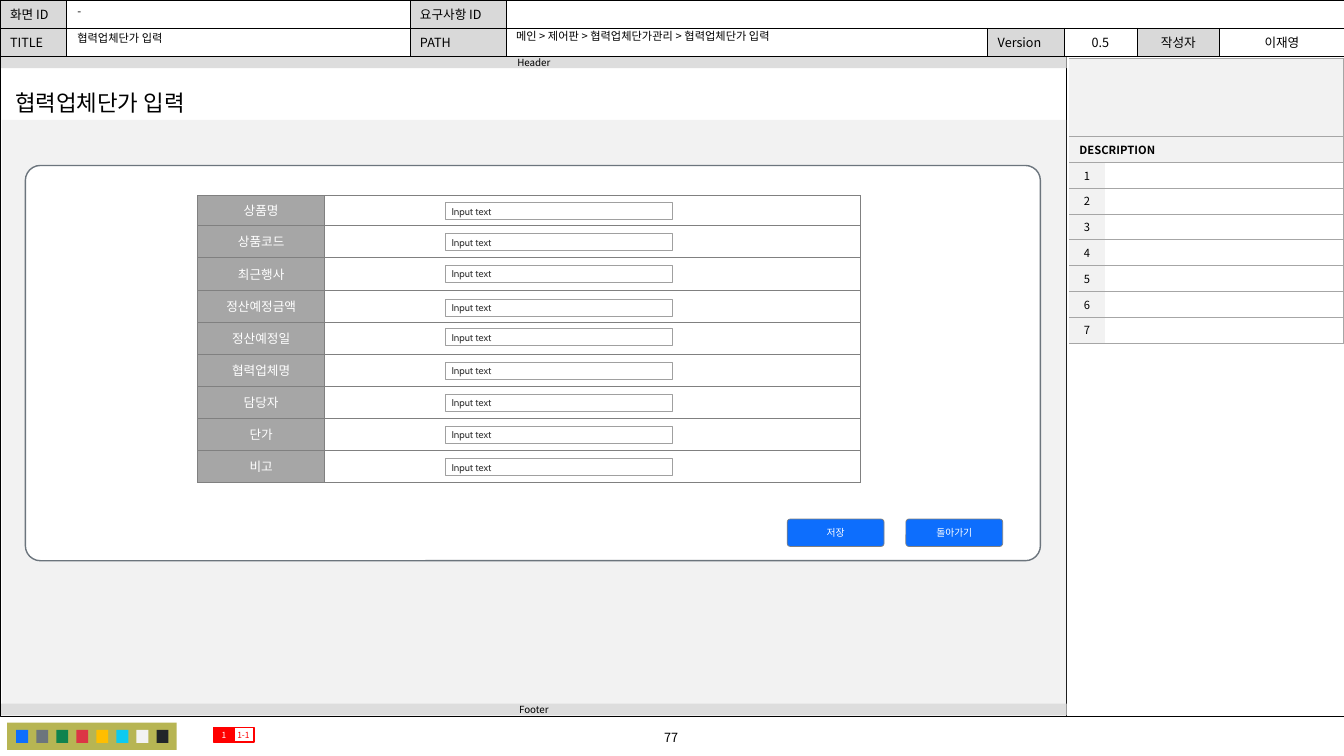
"""Build the wireframe slide for the partner unit-price entry screen."""
from dataclasses import dataclass

from lxml.etree import SubElement
from pptx import Presentation
from pptx.dml.color import RGBColor
from pptx.enum.shapes import MSO_CONNECTOR, MSO_SHAPE
from pptx.enum.text import MSO_ANCHOR, MSO_AUTO_SIZE, PP_ALIGN
from pptx.oxml.ns import qn
from pptx.util import Cm, Pt

RECT, ROUND = MSO_SHAPE.RECTANGLE, MSO_SHAPE.ROUNDED_RECTANGLE
STRAIGHT = MSO_CONNECTOR.STRAIGHT
LEFT, CENTER = PP_ALIGN.LEFT, PP_ALIGN.CENTER
TOP, MIDDLE = MSO_ANCHOR.TOP, MSO_ANCHOR.MIDDLE
NO_FIT = MSO_AUTO_SIZE.NONE


@dataclass(frozen=True)
class Theme:
    font: str = "Noto Sans CJK KR"
    control_font: str = "Cabin"
    title: int = 16
    label: int = 9
    body: int = 8
    control: int = 7
    tag: int = 6
    black: str = "000000"
    white: str = "FFFFFF"
    ink: str = "333333"
    page_gray: str = "F2F2F2"
    bar_gray: str = "DDDDDD"
    head_gray: str = "D9D9D9"
    mid_gray: str = "A6A6A6"
    grid_gray: str = "808080"
    input_gray: str = "A0A0A0"
    slate: str = "6C757D"
    blue: str = "0D6EFD"
    red: str = "FF0000"
    olive: str = "B7B553"
    swatches: tuple = ("0D6EFD", "6C757D", "10834E", "DC3545",
                       "FFBE00", "0DCAF0", "F2F2F2", "212529")


theme = Theme()


def write(frame, text, size, color=theme.black, align=CENTER, font=theme.font):
    para = frame.paragraphs[0]
    para.text = text
    para.alignment = align
    para.font.size = Pt(size)
    para.font.bold = False
    para.font.color.rgb = RGBColor.from_string(color)
    para.font.name = font
    defaults = para._p.pPr.find(qn("a:defRPr"))
    SubElement(defaults, qn("a:ea")).set("typeface", font)
    return para


def add_box(kind, place, fill=None, line=None, width=0.5, side=0):
    box = page.shapes.add_shape(kind, *map(Cm, place))
    box.shadow.inherit = False
    if fill:
        box.fill.solid()
        box.fill.fore_color.rgb = RGBColor.from_string(fill)
    else:
        box.fill.background()
    if line:
        box.line.color.rgb = RGBColor.from_string(line)
        box.line.width = Pt(width)
    else:
        box.line.fill.background()
    frame = box.text_frame
    frame.word_wrap = True
    frame.vertical_anchor = MIDDLE
    frame.margin_left = frame.margin_right = Cm(side)
    frame.margin_top = frame.margin_bottom = 0
    return box


deck = Presentation()
deck.slide_width, deck.slide_height = Cm(33.87), Cm(19.05)
page = deck.slides.add_slide(deck.slide_layouts[1])

add_box(RECT, (0, 1.4, 33.87, 16.66), line=theme.black, width=0.25)
divider = page.shapes.add_connector(STRAIGHT, Cm(26.87), Cm(1.42), Cm(26.87), Cm(18.06))
divider.line.color.rgb = RGBColor.from_string(theme.black)
divider.line.width = Pt(0.5)
SubElement(divider.element.spPr, qn("a:effectLst"))

add_box(RECT, (0.18, 18.21, 4.27, 0.69), theme.olive)
for index, swatch in enumerate(theme.swatches):
    add_box(RECT, (0.41 + 0.505 * index, 18.39, 0.3, 0.33), swatch)

add_box(RECT, (0.05, 3.02, 26.82, 15.01), theme.page_gray)
for text, top in (("Footer", 17.73), ("Header", 1.42)):
    bar = add_box(RECT, (0.03, top, 26.85, 0.3), theme.bar_gray)
    write(bar.text_frame, text, theme.control)
panel = add_box(ROUND, (0.64, 4.17, 25.58, 9.96), theme.white, theme.slate, 1)
panel.adjustments[0] = 0.038

fields = ("상품명", "상품코드", "최근행사", "정산예정금액", "정산예정일",
          "협력업체명", "담당자", "단가", "비고")
header = dict(
    place=(0, 0), cols=(1.67, 8.66, 2.44, 12.12, 1.92, 1.84, 2.09, 3.13), rows=(0.71, 0.71),
    texts=(("화면 ID", "", "요구사항 ID", "", "", "", "", ""),
           ("TITLE", "", "PATH", "", "Version", "0.5", "작성자", "이재영")),
    labels=(0, 2, 4, 6), centered=(5, 6, 7), merges=((0, 3, 7),),
    size=theme.label, color=theme.black, label_fill=theme.head_gray,
    edges="LRTB", edge_color=theme.black, edge_width=0.5)
description = dict(
    place=(26.95, 1.47), cols=(0.89, 6.02), rows=(1.97,) + (0.65,) * 8,
    texts=(("", ""), ("DESCRIPTION", "")) + tuple((str(n), "") for n in range(1, 8)),
    labels=(0,), centered=(0,), merges=((0, 0, 1), (1, 0, 1)),
    size=theme.body, color=theme.black, label_fill=theme.page_gray,
    edges="RTB", edge_color=theme.mid_gray, edge_width=0.5)
form = dict(
    place=(4.98, 4.92), cols=(3.2, 13.49), rows=(0.76,) + (0.81,) * 8,
    texts=tuple((field, "") for field in fields),
    labels=(0,), centered=(0,), merges=(),
    size=theme.label, color=theme.white, label_fill=theme.mid_gray,
    edges="LRTB", edge_color=theme.grid_gray, edge_width=0.25)

tables = []
for plan in (header, description, form):
    cols, rows = plan["cols"], plan["rows"]
    extent = (*plan["place"], sum(cols), sum(rows))
    table = page.shapes.add_table(len(rows), len(cols), *map(Cm, extent)).table
    table.first_row = table.horz_banding = False
    for column, width in zip(table.columns, cols):
        column.width = Cm(width)
    for row, height in zip(table.rows, rows):
        row.height = Cm(height)
    for r, texts in enumerate(plan["texts"]):
        for c, text in enumerate(texts):
            cell = table.cell(r, c)
            cell.vertical_anchor = MIDDLE
            cell.margin_top = cell.margin_bottom = 0
            align = CENTER if c in plan["centered"] else LEFT
            write(cell.text_frame, text, plan["size"], plan["color"], align)
            cell.fill.solid()
            fill = plan["label_fill"] if c in plan["labels"] else theme.white
            cell.fill.fore_color.rgb = RGBColor.from_string(fill)
            properties = cell._tc.get_or_add_tcPr()
            for position, side in enumerate("LRTB"):
                edge = SubElement(properties, qn(f"a:ln{side}"))
                properties.insert(position, edge)
                if side in plan["edges"]:
                    edge.set("w", str(Pt(plan["edge_width"])))
                    paint = SubElement(edge, qn("a:solidFill"))
                    SubElement(paint, qn("a:srgbClr")).set("val", plan["edge_color"])
                else:
                    SubElement(edge, qn("a:noFill"))
    for r, first, last in plan["merges"]:
        table.cell(r, first).merge(table.cell(r, last))
    tables.append(table)
heading = tables[1].cell(1, 0).text_frame.paragraphs[0]
heading.alignment = LEFT
heading.font.bold = True

for top in (5.11, 5.89, 6.68, 7.54, 8.28, 9.12, 9.93, 10.74, 11.56):
    entry = add_box(RECT, (11.23, top, 5.72, 0.43), theme.white, theme.input_gray, side=0.15)
    write(entry.text_frame, "Input text", theme.control, theme.ink, LEFT, theme.control_font)
for text, left in (("저장", 19.84), ("돌아가기", 22.83)):
    button = add_box(ROUND, (left, 13.08, 2.44, 0.69), theme.blue, theme.grid_gray)
    button.adjustments[0] = 0.108
    write(button.text_frame, text, theme.control, theme.white, font=theme.control_font)
for text, left, fill, color in (("1-1", 5.87, None, theme.red), ("1", 5.38, theme.red, theme.white)):
    tag = add_box(RECT, (left, 18.34, 0.53, 0.36), fill, theme.red, 1)
    write(tag.text_frame, text, theme.tag, color)

title, path_line = page.shapes.title, page.placeholders[1]
screen_id, screen_title, number = (page.shapes.add_textbox(0, 0, 0, 0) for _ in range(3))
for box, text, place, size, align, anchor in (
    (path_line, "메인 > 제어판 > 협력업체단가관리 > 협력업체단가 입력",
     (12.75, 0.66, 12.04, 0.58), theme.body, LEFT, TOP),
    (screen_id, "-", (1.7, 0.03, 8.64, 0.58), theme.body, LEFT, TOP),
    (screen_title, "협력업체단가 입력", (1.7, 0.71, 8.59, 0.51), theme.body, LEFT, TOP),
    (title, "협력업체단가 입력", (0.13, 2.11, 5.46, 0.94), theme.title, LEFT, MIDDLE),
    (number, "77", (13.64, 18.26, 6.55, 0.64), theme.label, CENTER, MIDDLE),
):
    box.left, box.top, box.width, box.height = map(Cm, place)
    frame = box.text_frame
    frame.word_wrap, frame.auto_size, frame.vertical_anchor = True, NO_FIT, anchor
    para = frame.paragraphs[0]
    para.space_before = Pt(0)
    para.line_spacing = 0.9 if size == theme.body else 1
    indents = para._p.get_or_add_pPr()
    indents.set("marL", "0")
    indents.set("indent", "0")
    SubElement(indents, qn("a:buNone"))
    write(frame, text, size, align=align)
    page.shapes.element.append(box.element)

deck.save("out.pptx")
